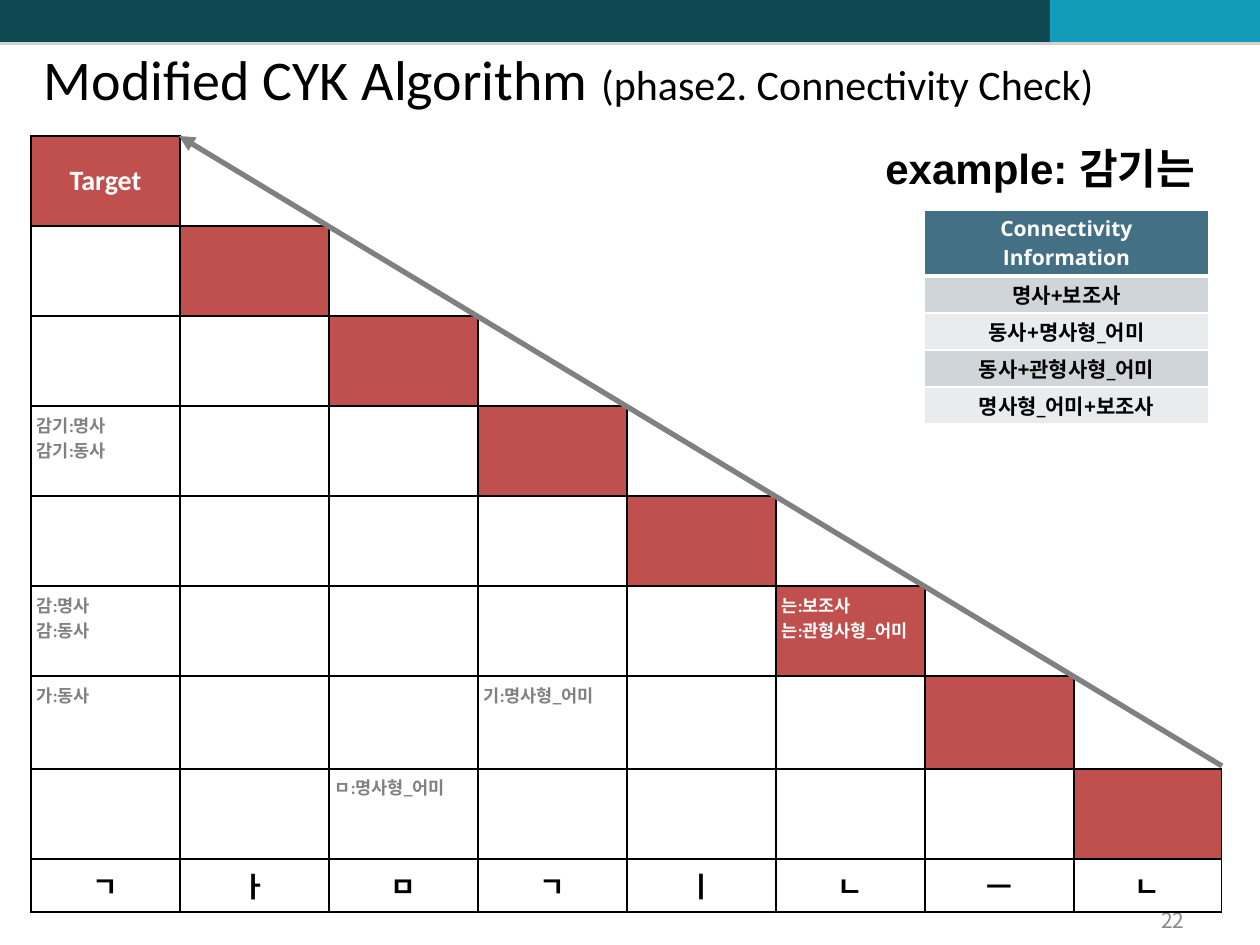
"""Builds the slide on the connectivity check of the modified CYK algorithm."""
from lxml.etree import SubElement
from pptx import Presentation
from pptx.dml.color import RGBColor
from pptx.enum.shapes import MSO_CONNECTOR, MSO_SHAPE
from pptx.enum.text import MSO_ANCHOR, PP_ALIGN
from pptx.oxml import parse_xml
from pptx.oxml.ns import nsdecls, qn
from pptx.util import Emu, Pt

PX = 9144000 // 1260
KOREAN = "Noto Sans CJK KR"
BLACK, WHITE, GRAY, RED = "000000", "FFFFFF", "808080", "C0504D"

BARS = [(0, 514, "0E4851"), (514, 536, "0E4851"), (1050, 210, "139CB7")]
TITLE = [("Modified CYK Algorithm ", 32), ("(phase2. Connectivity Check)", 24)]
LETTERS = "ㄱㅏㅁㄱㅣㄴㅡㄴ"
ROWS = [90, 90, 90, 90, 90, 90, 93, 90, 53]
NOTES = {
    (3, 0): "감기:명사\n감기:동사",
    (5, 0): "감:명사\n감:동사",
    (5, 5): "는:보조사\n는:관형사형_어미",
    (6, 0): "가:동사",
    (6, 3): "기:명사형_어미",
    (7, 2): "ㅁ:명사형_어미",
}
LINKS = ["Connectivity Information", "명사+보조사", "동사+명사형_어미",
         "동사+관형사형_어미", "명사형_어미+보조사"]


def px(n):
    return Emu(n * PX)


def box(*nums):
    return [px(n) for n in nums]


def rgb(code):
    return RGBColor.from_string(code)


def style(run, size, color, name="Calibri", bold=True):
    font = run.font
    font.size, font.bold, font.name = Pt(size), bold, name
    font.color.rgb = rgb(color)
    SubElement(run._r.get_or_add_rPr(), qn("a:ea"), typeface=KOREAN)


def write(frame, text, size, color, align=PP_ALIGN.LEFT, **kind):
    frame.text = text
    for para in frame.paragraphs:
        para.alignment = align
        for run in para.runs:
            style(run, size, color, **kind)


def paint(cell, fill):
    if fill:
        cell.fill.solid()
        cell.fill.fore_color.rgb = rgb(fill)
    else:
        cell.fill.background()


def pad(cell, side, end):
    cell.margin_left = cell.margin_right = px(side)
    cell.margin_top = cell.margin_bottom = px(end)


def edge(cell, color, sides="LRTB", thick=""):
    props = cell._tc.get_or_add_tcPr()
    for spot, side in enumerate("LRTB"):
        ink = (f'<a:solidFill><a:srgbClr val="{color}"/></a:solidFill>'
               if side in sides else "<a:noFill/>")
        width = Pt(3 if side in thick else 1)
        props.insert(spot, parse_xml(
            f'<a:ln{side} {nsdecls("a")} w="{width}">{ink}</a:ln{side}>'))


def grid(slide, left, top, widths, heights):
    frame = slide.shapes.add_table(len(heights), len(widths), *box(
        left, top, sum(widths), sum(heights)))
    table = frame.table
    table.first_row = table.horz_banding = False
    for col, width in zip(table.columns, widths):
        col.width = px(width)
    for row, height in zip(table.rows, heights):
        row.height = px(height)
    return table


def add_bars(slide):
    for left, width, color in BARS:
        bar = slide.shapes.add_shape(MSO_SHAPE.RECTANGLE, *box(left, 0, width, 42))
        bar.fill.solid()
        bar.fill.fore_color.rgb = rgb(color)
        bar.line.fill.background()
        bar.shadow.inherit = False
        bar._element.spPr.find(qn("a:effectLst")).append(parse_xml(
            f'<a:outerShdw {nsdecls("a")} blurRad="0" dist="{Pt(1.8)}" dir="5400000">'
            f'<a:srgbClr val="{GRAY}"><a:alpha val="35000"/></a:srgbClr></a:outerShdw>'))


def add_title(slide):
    title = slide.shapes.title
    title.left, title.top, title.width, title.height = box(31, 38, 1191, 98)
    frame = title.text_frame
    frame.vertical_anchor = MSO_ANCHOR.TOP
    para = frame.paragraphs[0]
    para.alignment = PP_ALIGN.LEFT
    for text, size in TITLE:
        run = para.add_run()
        run.text = text
        style(run, size, BLACK, bold=False)


def add_chart_grid(slide):
    table = grid(slide, 31, 136, [149] * 7 + [148], ROWS)
    last = len(LETTERS)
    for r in range(last + 1):
        for c in range(last):
            cell = table.cell(r, c)
            paint(cell, RED if r == c else None)
            edge(cell, BLACK, "LRTB" if c <= r else "LB" if c == r + 1 else "")
            if r == last:
                cell.vertical_anchor = MSO_ANCHOR.MIDDLE
                write(cell.text_frame, LETTERS[c], 16, BLACK, PP_ALIGN.CENTER)
            elif (r, c) in NOTES:
                pad(cell, 6, 6)
                write(cell.text_frame, NOTES[r, c], 10, WHITE if r == c else GRAY)
    goal = table.cell(0, 0)
    goal.vertical_anchor = MSO_ANCHOR.MIDDLE
    pad(goal, 6, 6)
    write(goal.text_frame, "Target", 16, WHITE, PP_ALIGN.CENTER)


def add_arrow(slide):
    arrow = slide.shapes.add_connector(
        MSO_CONNECTOR.STRAIGHT, *box(1222, 766, 179, 136))
    arrow.line.color.rgb = rgb(GRAY)
    arrow.line.width = Pt(3)
    SubElement(arrow.line._get_or_add_ln(), qn("a:tailEnd"), type="triangle")
    SubElement(arrow._element.spPr, qn("a:effectLst"))


def add_links(slide):
    table = grid(slide, 924, 210, [285], [66] + [37] * (len(LINKS) - 1))
    for r, text in enumerate(LINKS):
        cell = table.cell(r, 0)
        paint(cell, "437085" if r == 0 else "CFD5D9" if r % 2 else "E9EBED")
        edge(cell, WHITE, thick="B" if r == 0 else "T" if r == 1 else "")
        pad(cell, 13, 3)
        cell.vertical_anchor = MSO_ANCHOR.MIDDLE
        write(cell.text_frame, text, 12, BLACK if r else WHITE,
              PP_ALIGN.CENTER, name="Open Sans")


def add_label(slide, place, text, size, color, wrap, **kind):
    frame = slide.shapes.add_textbox(*box(*place)).text_frame
    frame.word_wrap = wrap
    write(frame, text, size, color, **kind)
    return frame


def main():
    deck = Presentation()
    deck.slide_width, deck.slide_height = box(1260, 945)
    slide = deck.slides.add_slide(deck.slide_layouts[5])
    add_bars(slide)
    page = add_label(slide, (903, 903, 294, 34), "22", 12, "898989", True,
                     align=PP_ALIGN.RIGHT, name=KOREAN, bold=False)
    page.vertical_anchor = MSO_ANCHOR.MIDDLE
    add_chart_grid(slide)
    add_label(slide, (873, 136, 349, 63), "example: 감기는", 24, BLACK, False,
              name="Arial")
    add_title(slide)
    add_arrow(slide)
    add_links(slide)
    deck.save("out.pptx")


if __name__ == "__main__":
    main()
